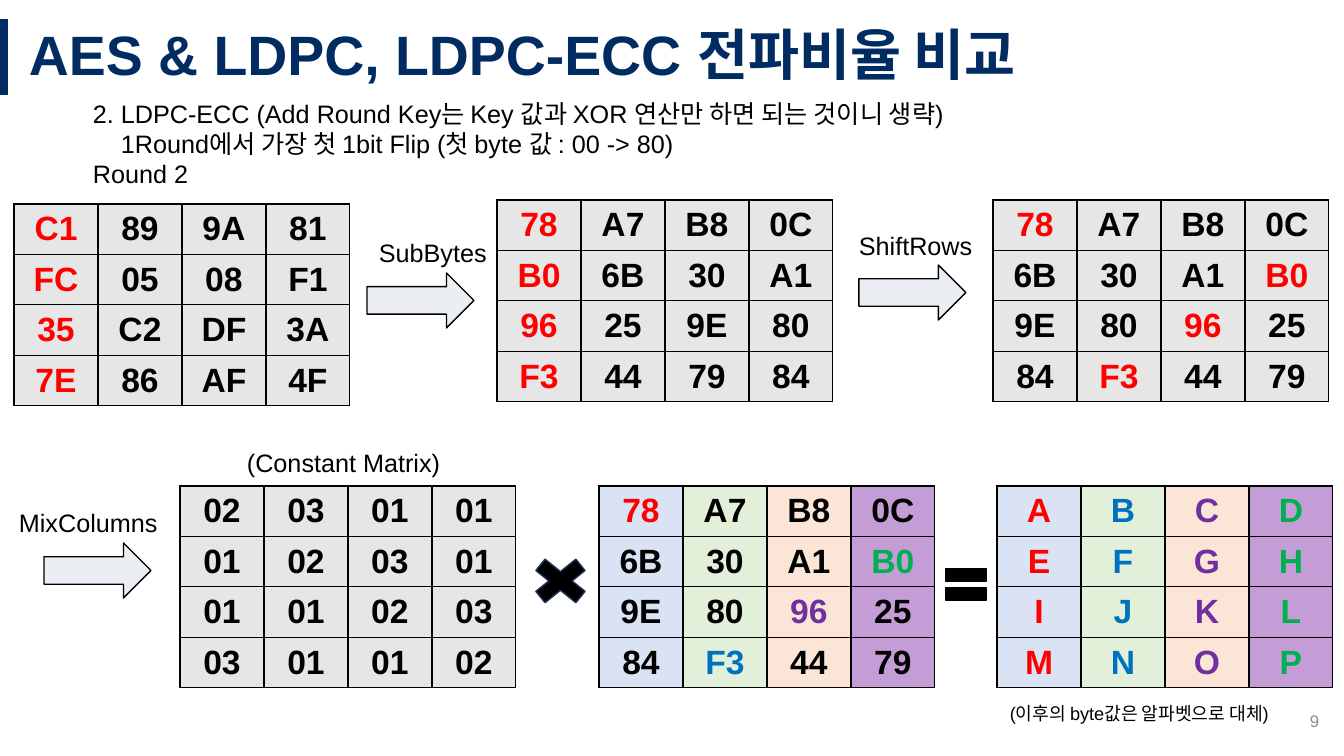
import pptx
import pptx.dml.color
import pptx.enum.shapes
import pptx.enum.text
import pptx.oxml
import pptx.oxml.ns
import pptx.util
from lxml import etree

COLORS = {
    "navy": "002C62", "black": "000000", "gray": "8C8C8C", "arrow": "EBEEF2",
    "edge": "1E3256", "cell": "E7E6E6",
    "red": "FF0000", "blue": "0070C0", "purple": "7030A0", "green": "00B050",
    "pale blue": "DAE3F3", "pale green": "E2F0D9", "peach": "FBE5D6", "lilac": "C49DD6",
}
COLUMN_INKS = ["red", "blue", "purple", "green"]
COLUMN_FILLS = ["pale blue", "pale green", "peach", "lilac"]
PLAIN_FILLS = ["cell"] * 4
ALL_RED = ["red"] * 4

SHAPES = pptx.enum.shapes.MSO_SHAPE
ALIGN = pptx.enum.text.PP_ALIGN
ANCHOR = pptx.enum.text.MSO_ANCHOR


def px(count):
    return pptx.util.Emu(round(count * 914400 / 100.8))


def rgb(name):
    return pptx.dml.color.RGBColor.from_string(COLORS[name])


# Which cells of a state matrix are highlighted
def no_cell(row, column):
    return False


def first_column(row, column):
    return column == 0


def shifted_column(row, column):
    return (row + column) % 4 == 0


def every_cell(row, column):
    return True


class SlideBuilder:
    font = "Arial"
    cell_width = 84
    cell_height = 50

    def __init__(self, page):
        self.page = page

    def style(self, para, size, color, bold=False):
        for span in para.runs:
            span.font.name = self.font
            span.font.size = pptx.util.Pt(size)
            span.font.bold = bold
            span.font.color.rgb = rgb(color)

    def text(self, left, top, width, height, content, size=18, color="black",
             bold=False, align=ALIGN.LEFT, anchor=ANCHOR.TOP, spacing=1.0):
        box = self.page.shapes.add_textbox(px(left), px(top), px(width), px(height))
        frame = box.text_frame
        frame.word_wrap = True
        frame.vertical_anchor = anchor
        frame.text = content
        for para in frame.paragraphs:
            para.alignment = align
            para.line_spacing = spacing
            self.style(para, size, color, bold)
        return frame

    def bar(self, x, top, bottom, color, weight):
        line = self.page.shapes.add_connector(
            pptx.enum.shapes.MSO_CONNECTOR.STRAIGHT, px(x), px(top), px(x), px(bottom))
        line.line.color.rgb = rgb(color)
        line.line.width = pptx.util.Pt(weight)
        etree.SubElement(line._element.spPr, pptx.oxml.ns.qn("a:effectLst"))

    def shape(self, kind, left, top, width, height, fill="black", edge="black"):
        shape = self.page.shapes.add_shape(kind, px(left), px(top), px(width), px(height))
        shape.shadow.inherit = False
        shape.fill.solid()
        shape.fill.fore_color.rgb = rgb(fill)
        shape.line.color.rgb = rgb(edge)
        shape.line.width = pptx.util.Pt(1)

    def step(self, label, label_left, label_top, width, arrow_left, arrow_top):
        self.text(label_left, label_top, width, 40, label)
        self.shape(SHAPES.RIGHT_ARROW, arrow_left, arrow_top, 107, 55, fill="arrow")

    def border(self, cell):
        properties = cell._tc.get_or_add_tcPr()
        for side in ("lnL", "lnR", "lnT", "lnB"):
            properties.append(pptx.oxml.parse_xml(
                f'<a:{side} {pptx.oxml.ns.nsdecls("a")} w="12700"><a:solidFill>'
                f'<a:srgbClr val="{COLORS["black"]}"/></a:solidFill></a:{side}>'))

    def matrix(self, left, top, rows, marked, inks=ALL_RED, fills=PLAIN_FILLS):
        values = [row.split() for row in rows]
        count = len(values)
        table = self.page.shapes.add_table(
            count, count, px(left), px(top),
            px(count * self.cell_width), px(count * self.cell_height)).table
        table.first_row = False
        table.horz_banding = False
        for column in table.columns:
            column.width = px(self.cell_width)
        for row in table.rows:
            row.height = px(self.cell_height)
        for r, row in enumerate(values):
            for c, value in enumerate(row):
                cell = table.cell(r, c)
                self.border(cell)
                cell.fill.solid()
                cell.fill.fore_color.rgb = rgb(fills[c])
                cell.vertical_anchor = ANCHOR.MIDDLE
                cell.text_frame.text = value
                para = cell.text_frame.paragraphs[0]
                para.alignment = ALIGN.CENTER
                self.style(para, 24, inks[c] if marked(r, c) else "black", bold=True)


def main():
    deck = pptx.Presentation()
    deck.slide_width, deck.slide_height = px(1344), px(756)
    slide = SlideBuilder(deck.slides.add_slide(deck.slide_layouts[6]))

    # Title and page number
    slide.bar(4, 19, 95, "navy", 6)
    slide.text(19, 19, 1325, 76, "AES & LDPC, LDPC-ECC 전파비율 비교", 39.6, "navy",
               bold=True, anchor=ANCHOR.MIDDLE, spacing=0.9)
    slide.text(1027, 701, 302, 40, "9", 12, "gray",
               align=ALIGN.RIGHT, anchor=ANCHOR.MIDDLE)

    # Introduction
    intro = slide.text(83, 93, 1038, 100, "\n".join([
        "2. LDPC-ECC (Add Round Key는 Key 값과 XOR 연산만 하면 되는 것이니 생략)",
        "1Round에서 가장 첫 1bit Flip (첫 byte 값 : 00 -> 80)",
        "Round 2"]))
    intro.paragraphs[1]._p.get_or_add_pPr().set("marL", str(px(28)))

    # Upper row: byte substitution and row shift
    shifted = ["78 A7 B8 0C", "6B 30 A1 B0", "9E 80 96 25", "84 F3 44 79"]
    slide.matrix(14, 204, ["C1 89 9A 81", "FC 05 08 F1", "35 C2 DF 3A", "7E 86 AF 4F"],
                 first_column)
    slide.step("SubBytes", 369, 232, 155, 367, 273)
    slide.matrix(497, 200, ["78 A7 B8 0C", "B0 6B 30 A1", "96 25 9E 80", "F3 44 79 84"],
                 first_column)
    slide.step("ShiftRows", 849, 225, 146, 859, 265)
    slide.matrix(993, 200, shifted, shifted_column)

    # Lower row: column mixing
    slide.step("MixColumns", 9, 502, 183, 44, 543)
    slide.text(237, 442, 243, 40, "(Constant Matrix)")
    slide.matrix(180, 486, ["02 03 01 01", "01 02 03 01", "01 01 02 03", "03 01 01 02"],
                 no_cell)
    slide.shape(SHAPES.MATH_MULTIPLY, 522, 550, 77, 62, edge="edge")
    slide.matrix(599, 486, shifted, shifted_column, COLUMN_INKS, COLUMN_FILLS)
    slide.shape(SHAPES.MATH_EQUAL, 939, 557, 54, 55)
    slide.matrix(997, 486, ["A B C D", "E F G H", "I J K L", "M N O P"],
                 every_cell, COLUMN_INKS, COLUMN_FILLS)
    slide.text(1000, 697, 321, 31, "(이후의 byte값은 알파벳으로 대체)", 13)

    deck.save("out.pptx")


if __name__ == "__main__":
    main()
